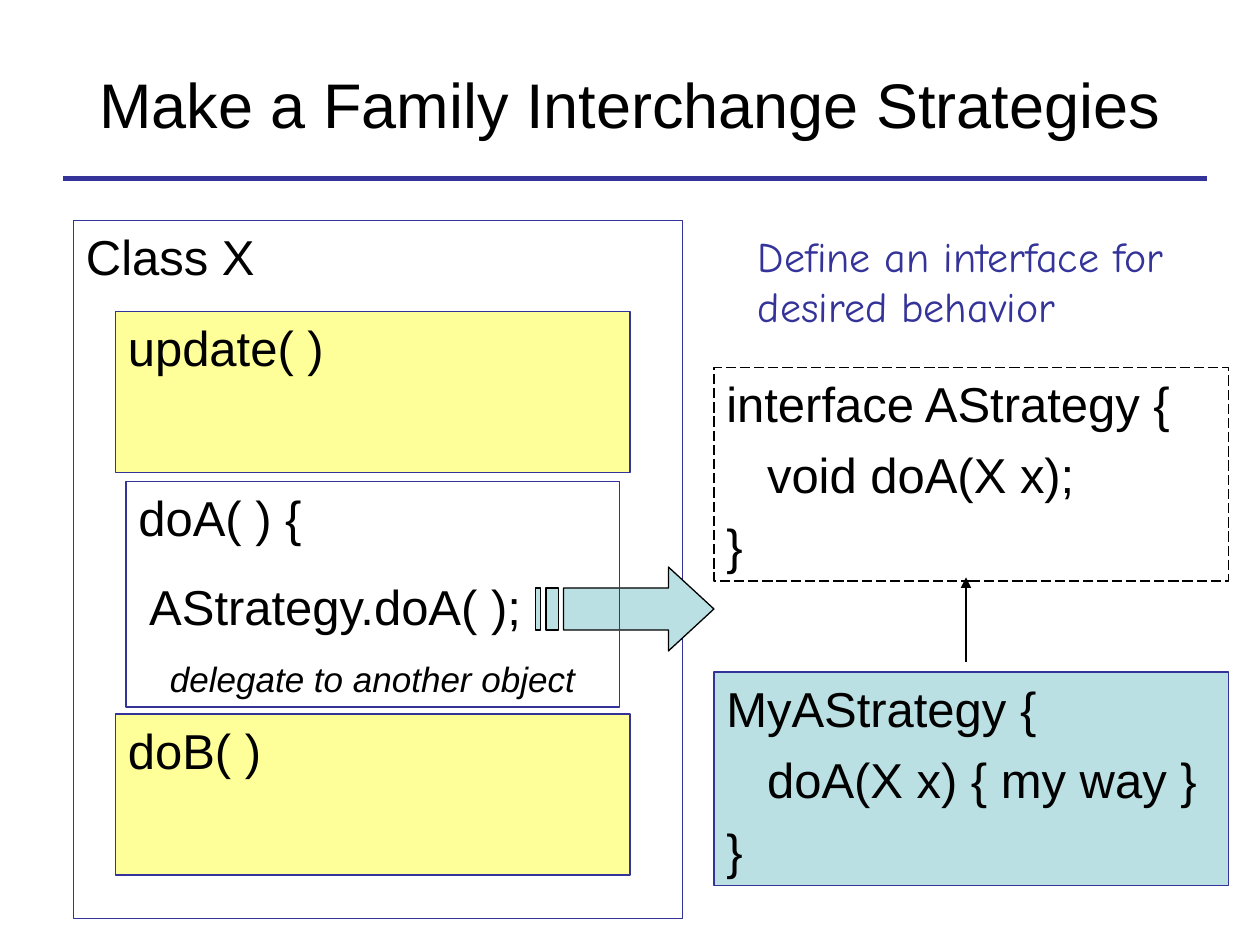
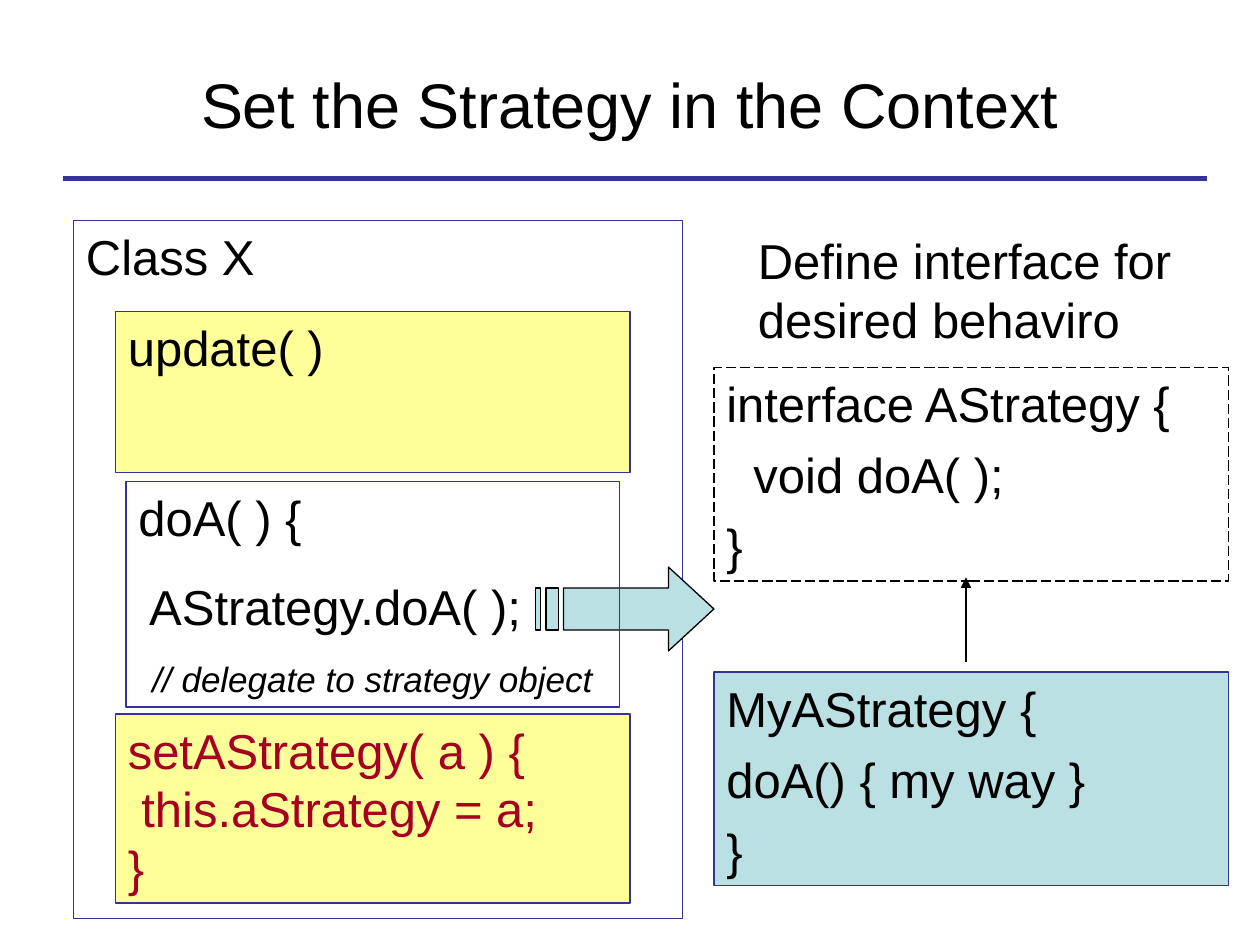
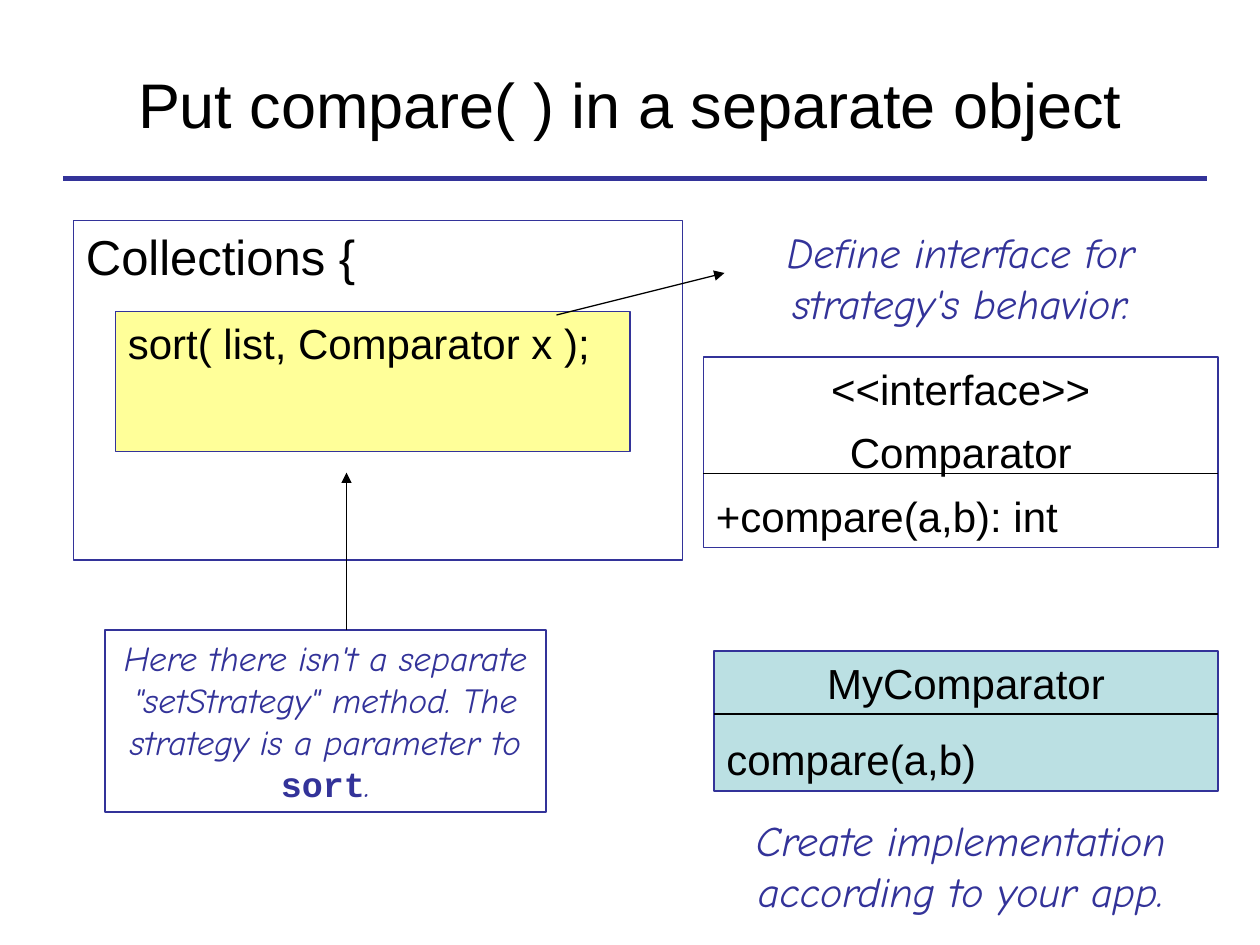
"""Build three slides on the Strategy pattern."""
from lxml import etree
from pptx import Presentation
from pptx.dml.color import RGBColor
from pptx.enum.dml import MSO_LINE
from pptx.enum.shapes import MSO_CONNECTOR, MSO_SHAPE
from pptx.enum.text import MSO_ANCHOR, PP_ALIGN
from pptx.oxml.ns import qn
from pptx.util import Pt

RECT = MSO_SHAPE.RECTANGLE
STRAIGHT = MSO_CONNECTOR.STRAIGHT
LONG_DASH = MSO_LINE.LONG_DASH
TOP, MIDDLE = MSO_ANCHOR.TOP, MSO_ANCHOR.MIDDLE
LEFT, CENTER = PP_ALIGN.LEFT, PP_ALIGN.CENTER

BLUE, BLACK, RED = "333399", "000000", "A50021"
YELLOW, TEAL = "FFFF99", "BBE0E3"
SANS, HAND, MONO = "Arial", "Comic Neue", "Courier New"
TITLE_ONLY = 5
LINE_WIDTH = 0.75


def rgb(color):
    return RGBColor.from_string(color)


def format_run(r, size, color=BLACK, font=SANS, bold=False, italic=False):
    r.font.size = Pt(size)
    r.font.color.rgb = rgb(color)
    r.font.name = font
    r.font.bold = bold
    r.font.italic = italic


def write(tf, lines, size, gap=0, align=LEFT, **style):
    tf.word_wrap = True
    tf.vertical_anchor = TOP
    tf.text = "\n".join(lines)
    for i, p in enumerate(tf.paragraphs):
        p.alignment = align
        p.space_before = Pt(gap if i else 0)
        for r in p.runs:
            format_run(r, size, **style)


def paint(sp, fill, line):
    sp.shadow.inherit = False
    if fill:
        sp.fill.solid()
        sp.fill.fore_color.rgb = rgb(fill)
    else:
        sp.fill.background()
    sp.line.color.rgb = rgb(line)
    sp.line.width = Pt(LINE_WIDTH)


def add_box(slide, x, y, w, h, lines, size=28, fill=None, line=BLUE, **text):
    sp = slide.shapes.add_shape(RECT, Pt(x), Pt(y), Pt(w), Pt(h))
    paint(sp, fill, line)
    write(sp.text_frame, lines, size, **text)
    return sp


def add_note(slide, x, y, w, h, text, size=24, color=BLUE, font=HAND, **style):
    sp = slide.shapes.add_textbox(Pt(x), Pt(y), Pt(w), Pt(h))
    write(sp.text_frame, [text], size, color=color, font=font, **style)


def add_line(slide, x1, y1, x2, y2, color=BLACK, width=LINE_WIDTH, arrow=False):
    c = slide.shapes.add_connector(STRAIGHT, Pt(x1), Pt(y1), Pt(x2), Pt(y2))
    c.line.color.rgb = rgb(color)
    c.line.width = Pt(width)
    sp_pr = c.element.spPr
    if arrow:
        etree.SubElement(sp_pr.find(qn("a:ln")), qn("a:tailEnd"), type="triangle")
    etree.SubElement(sp_pr, qn("a:effectLst"))
    return c


def add_striped_arrow(slide, x, y, w, h):
    top, bottom, mid = y + h / 4, y + h * 3 / 4, y + h / 2
    neck, tip = x + w * 3 / 4, x + w
    body = x + w * 5 / 32
    fb = slide.shapes.build_freeform(body, top, scale=Pt(1))
    fb.add_line_segments([(neck, top), (neck, y), (tip, mid), (neck, y + h),
                          (neck, bottom), (body, bottom)])
    for start, end in ((0, 1 / 32), (1 / 16, 1 / 8)):
        x1, x2 = x + w * start, x + w * end
        fb.move_to(x1, top)
        fb.add_line_segments([(x2, top), (x2, bottom), (x1, bottom)])
    paint(fb.convert_to_shape(), TEAL, BLACK)


def set_up_layout(prs):
    layout = prs.slide_layouts[TITLE_ONLY]
    title = layout.placeholders[0]
    title.left, title.top, title.width, title.height = Pt(36), Pt(22), Pt(648), Pt(74)
    return layout


def add_slide(prs, layout, title):
    slide = prs.slides.add_slide(layout)
    tf = slide.shapes.title.text_frame
    write(tf, [title], 36, align=CENTER)
    tf.vertical_anchor = MIDDLE
    if len(prs.slides) == 1:
        rule = add_line(slide, 36, 102, 690, 102, color=BLUE, width=3)
        layout.shapes.element.append(rule.element)
    return slide


def add_strategy_diagram(slide, remark, interface_method, own_method):
    add_box(slide, 42, 126, 348, 399, ["Class X"])
    add_box(slide, 66, 178, 294, 92, ["update( )"], fill=YELLOW)
    add_box(slide, 408, 384, 294, 122, ["MyAStrategy {", own_method, "}"],
            fill=TEAL, gap=7)
    add_striped_arrow(slide, 306, 324, 102, 48)
    sp = add_box(slide, 72, 275, 282, 129,
                 ["doA( ) {", " AStrategy.doA( );", remark], gap=17.5)
    p = sp.text_frame.paragraphs[-1]
    p.alignment = CENTER
    p.space_before = Pt(12.5)
    format_run(p.runs[0], 20, italic=True)
    sp = add_box(slide, 408, 210, 294, 122,
                 ["interface AStrategy {", interface_method, "}"],
                 line=BLACK, gap=7)
    sp.line.dash_style = LONG_DASH
    add_line(slide, 552, 378, 552, 330, arrow=True)


def add_comparator_diagram(slide):
    add_box(slide, 42, 126, 348, 194, ["Collections {"])
    add_box(slide, 66, 178, 294, 80, ["sort( list, Comparator x );"], 24, YELLOW)
    add_line(slide, 318, 180, 414, 156, arrow=True)
    for x, y, w, h, lines, fill, gap, divider in (
            (402, 204, 294, 109, ["<<interface>>", "Comparator", "+compare(a,b): int"],
             None, 7.5, 270.5),
            (408, 372, 288, 80, ["MyComparator", "compare(a,b)"], TEAL, 15, 408)):
        sp = add_box(slide, x, y, w, h, lines, 24, fill, gap=gap, align=CENTER)
        sp.text_frame.paragraphs[-1].alignment = LEFT
        add_line(slide, x, divider, x + w, divider)
    for y, text in ((126, "Define interface for strategy's behavior."),
                    (462, "Create implementation according to your app.")):
        add_note(slide, 402, y, 294, 65, text, italic=True, align=CENTER)

    hand = {"size": 20, "color": BLUE, "font": HAND, "italic": True}
    sp = add_box(slide, 60, 360, 252, 104,
                 ['Here there isn\'t a separate "setStrategy" method. '
                  "The strategy is a parameter to "], align=CENTER, **hand)
    p = sp.text_frame.paragraphs[0]
    for text, style in (("sort", {**hand, "font": MONO, "bold": True, "italic": False}),
                        (".", hand)):
        r = p.add_run()
        r.text = text
        format_run(r, **style)
    add_line(slide, 198, 360, 198, 270, arrow=True)


def main():
    prs = Presentation()
    prs.slide_width, prs.slide_height = Pt(720), Pt(540)
    layout = set_up_layout(prs)

    slide = add_slide(prs, layout, "Make a Family Interchange Strategies")
    add_strategy_diagram(slide, "delegate to another object",
                         "   void doA(X x);", "   doA(X x) { my way }")
    add_box(slide, 66, 408, 294, 92, ["doB( )"], fill=YELLOW)
    add_note(slide, 426, 128, 264, 65, "Define an interface for desired behavior")

    slide = add_slide(prs, layout, "Set the Strategy in the Context")
    add_strategy_diagram(slide, "// delegate to strategy object",
                         "  void doA( );", "doA() { my way }")
    add_box(slide, 66, 408, 294, 108,
            ["setAStrategy( a ) {", " this.aStrategy = a;", "}"],
            fill=YELLOW, color=RED)
    add_note(slide, 426, 128, 264, 75, "Define interface for desired behaviro",
             size=28, color=BLACK, font=SANS)

    slide = add_slide(prs, layout, "Put compare( ) in a separate object")
    add_comparator_diagram(slide)

    prs.save("out.pptx")


if __name__ == "__main__":
    main()
